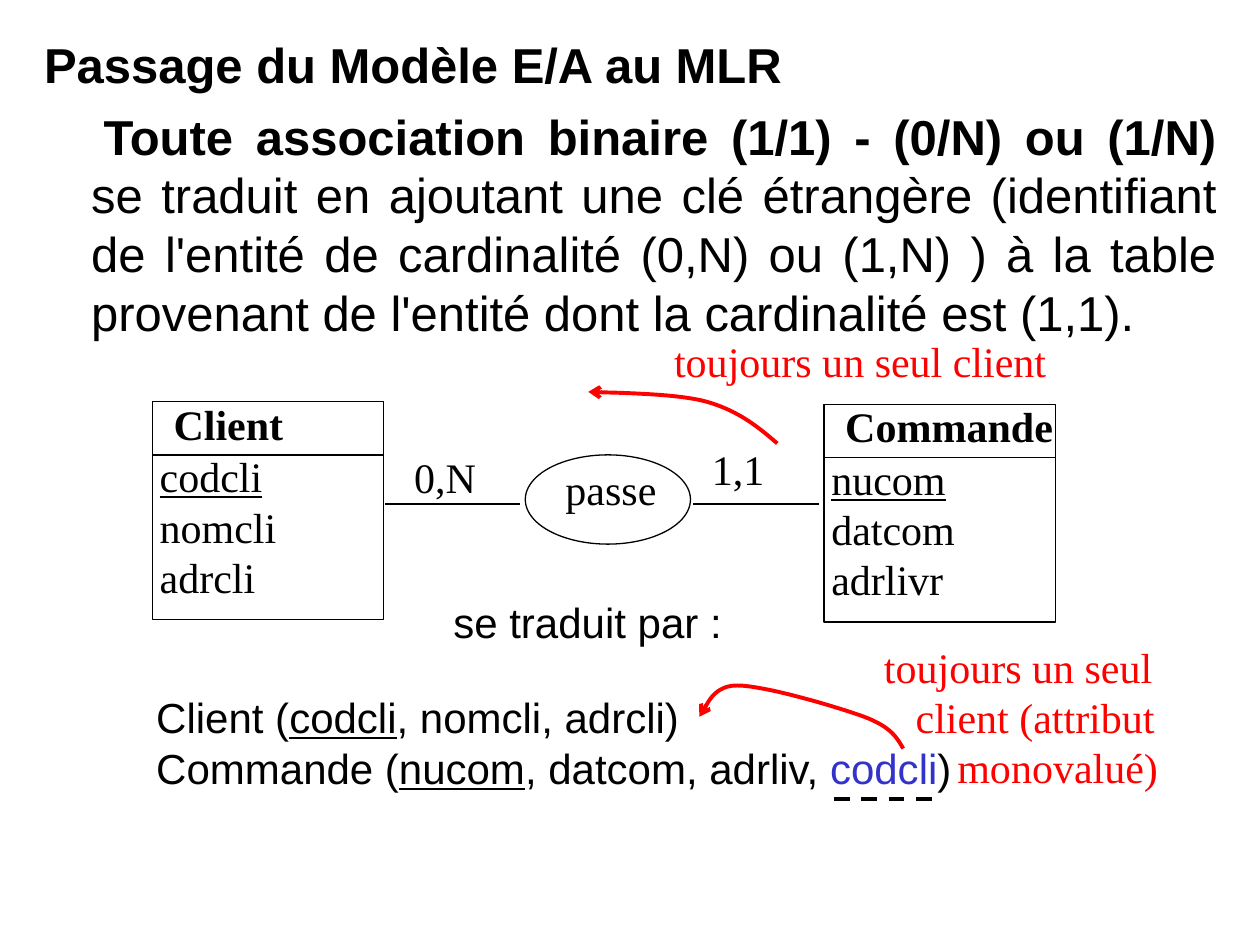
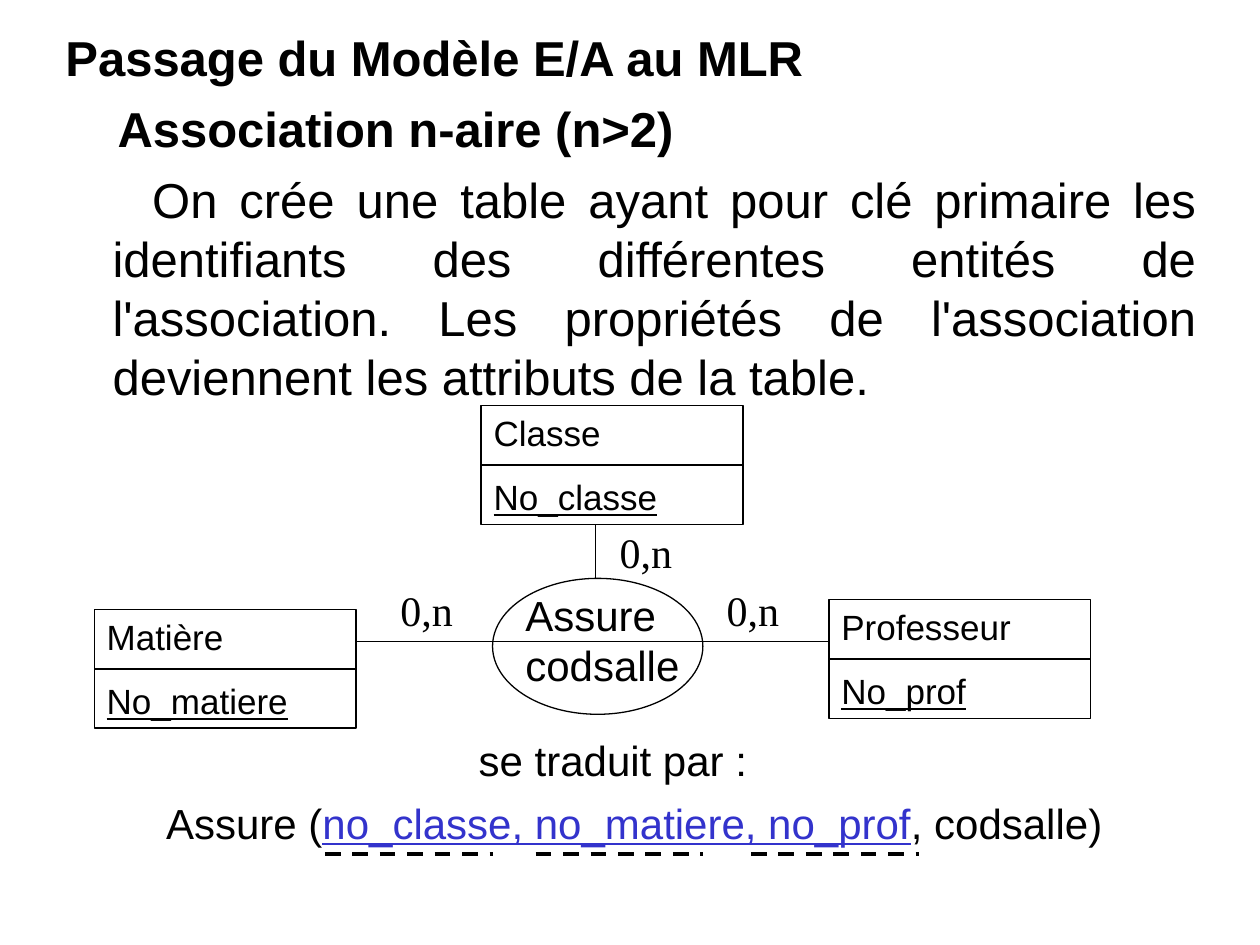
from dataclasses import dataclass

from lxml import etree
from pptx import Presentation
from pptx.dml.color import RGBColor
from pptx.enum.dml import MSO_LINE
from pptx.enum.shapes import MSO_CONNECTOR, MSO_SHAPE
from pptx.enum.text import MSO_ANCHOR, MSO_AUTO_SIZE, PP_ALIGN
from pptx.oxml.ns import qn
from pptx.shapes.autoshape import Shape
from pptx.shapes.connector import Connector
from pptx.slide import Slide
from pptx.text.text import TextFrame
from pptx.util import Cm, Pt

BLACK = RGBColor(0x00, 0x00, 0x00)
WHITE = RGBColor(0xFF, 0xFF, 0xFF)
RED = RGBColor(0xFF, 0x00, 0x00)
KEY_BLUE = RGBColor(0x33, 0x33, 0xCC)
SANS, SERIF = "Arial", "Times New Roman"
STRAIGHT = MSO_CONNECTOR.STRAIGHT
RECTANGLE, OVAL = MSO_SHAPE.RECTANGLE, MSO_SHAPE.OVAL
DASH = MSO_LINE.DASH
TOP = MSO_ANCHOR.TOP
LEFT, JUSTIFY = PP_ALIGN.LEFT, PP_ALIGN.JUSTIFY
FIT_SHAPE = MSO_AUTO_SIZE.SHAPE_TO_FIT_TEXT
HEADING = "Passage du Modèle E/A au MLR"
THIN, THICK = 0.75, 2.25
LEFT_SIDE, RIGHT_SIDE = 1, 3
BODY_MARGIN = 0.95
LABEL_SLACK = 0.2
CURVE_STEPS = 16

Point = tuple[float, float]
Box = tuple[float, float, float, float]


@dataclass(frozen=True)
class Span:
    """A piece of text with its own emphasis."""
    text: str
    underline: bool = False
    bold: bool = False
    color: RGBColor | None = None


@dataclass(frozen=True)
class Line:
    """A paragraph, with its indents in centimetres."""
    spans: tuple[Span, ...]
    margin: float = 0
    first: float = 0
    align: PP_ALIGN = LEFT


@dataclass(frozen=True)
class TextStyle:
    """The look shared by the paragraphs of a text."""
    font: str = SERIF
    size: float = 24
    color: RGBColor = BLACK
    before: float = 0


@dataclass(frozen=True)
class Label:
    """A short text at a place on the slide."""
    box: Box
    lines: tuple[Line, ...]
    style: TextStyle = TextStyle()


@dataclass(frozen=True)
class Entity:
    """An entity with its attributes, the first being its key."""
    name: str
    attributes: tuple[str, ...]
    corner: Point
    name_width: float = 0
    attribute_width: float = 0


SCHEMA = TextStyle(font=SANS)
REMARK = TextStyle(color=RED)
BODY = TextStyle(font=SANS, size=28, before=7)
SMALL_ENTITY = TextStyle(font=SANS, size=20, before=12.5)


def plain(text: str, margin: float = 0) -> Line:
    """Make a paragraph of one plain span."""
    return Line((Span(text),), margin)


def key(text: str) -> Line:
    """Make a paragraph holding an underlined key."""
    return Line((Span(text, underline=True),))


def body_line(first: float, *spans: Span) -> Line:
    """Make a justified paragraph of the body."""
    return Line(spans, BODY_MARGIN, first, JUSTIFY)


def write(frame: TextFrame, lines: tuple[Line, ...], style: TextStyle) -> None:
    """Fill a text frame run by run."""
    frame.word_wrap = True
    frame.vertical_anchor = TOP
    for index, line in enumerate(lines):
        paragraph = frame.paragraphs[0] if index == 0 else frame.add_paragraph()
        paragraph.alignment = line.align
        paragraph.space_before = Pt(style.before)
        properties = paragraph._p.get_or_add_pPr()
        properties.set("marL", str(Cm(line.margin)))
        properties.set("indent", str(Cm(line.first)))
        for span in line.spans:
            if span.text == "\n":
                paragraph.add_line_break()
                continue
            run = paragraph.add_run()
            run.text = span.text
            run.font.name = style.font
            run.font.size = Pt(style.size)
            run.font.bold = span.bold
            run.font.underline = span.underline
            run.font.color.rgb = span.color or style.color


def add_body(slide: Slide, box: Box, *lines: Line) -> None:
    """Add the slide heading and the rule below it."""
    heading = Line((Span(HEADING, bold=True),), BODY_MARGIN, -BODY_MARGIN)
    frame = slide.shapes.add_textbox(*map(Cm, box)).text_frame
    write(frame, (heading, *lines), BODY)


def add_label(slide: Slide, label: Label) -> None:
    """Add a text box with room to keep each line whole."""
    x, y, width, height = label.box
    box = slide.shapes.add_textbox(*map(Cm, (x, y, width + LABEL_SLACK, height)))
    write(box.text_frame, label.lines, label.style)


def add_outline(slide: Slide, kind: MSO_SHAPE, box: Box) -> Shape:
    """Add a white shape with a thin black outline."""
    shape = slide.shapes.add_shape(kind, *map(Cm, box))
    shape.shadow.inherit = False
    shape.fill.solid()
    shape.fill.fore_color.rgb = WHITE
    shape.line.color.rgb = BLACK
    shape.line.width = Pt(THIN)
    return shape


def add_link(slide: Slide, start: Point, end: Point, dashed: bool = False) -> Connector:
    """Add a thin straight line, or a thick dashed one."""
    link = slide.shapes.add_connector(STRAIGHT, *map(Cm, (*start, *end)))
    link.line.color.rgb = BLACK
    link.line.width = Pt(THICK if dashed else THIN)
    if dashed:
        link.line.dash_style = DASH
    etree.SubElement(link._element.spPr, qn("a:effectLst"))
    return link


def bezier(points: tuple[Point, ...], t: float) -> Point:
    """Return the point of a cubic curve at parameter t."""
    weights = ((1 - t) ** 3, 3 * t * (1 - t) ** 2, 3 * t**2 * (1 - t), t**3)
    return (sum(w * x for w, (x, _) in zip(weights, points)),
            sum(w * y for w, (_, y) in zip(weights, points)))


def add_curved_arrow(slide: Slide, points: tuple[Point, ...]) -> None:
    """Add a red arrow along joined cubic curves."""
    curve = [bezier(points[i:i + 4], step / CURVE_STEPS)
             for i in range(0, len(points) - 1, 3)
             for step in range(1, CURVE_STEPS + 1)]
    builder = slide.shapes.build_freeform(*map(Cm, points[0]))
    builder.add_line_segments([(Cm(x), Cm(y)) for x, y in curve], close=False)
    arrow = builder.convert_to_shape()
    arrow.shadow.inherit = False
    arrow.fill.background()
    arrow.line.color.rgb = RED
    arrow.line.width = Pt(THICK)
    etree.SubElement(arrow.line._get_or_add_ln(), qn("a:tailEnd"), type="arrow")


def add_large_entity(slide: Slide, entity: Entity) -> None:
    """Add an entity whose name stands in a band over its attributes."""
    x, y = entity.corner
    width, band = 4.67, 1.07
    add_outline(slide, RECTANGLE, (x, y, width, 4.39))
    add_link(slide, (x, y + band), (x + width, y + band))
    name = Line((Span(entity.name, bold=True),))
    add_label(slide, Label((x + 0.18, y - 0.2, entity.name_width, 1.27), (name,)))
    first, *others = entity.attributes
    add_label(slide, Label((x - 0.1, y + 0.86, entity.attribute_width, 3.3),
                           (key(first), *map(plain, others))))


def add_small_entity(slide: Slide, entity: Entity) -> None:
    """Add an entity split in halves for its name and its key."""
    x, y = entity.corner
    width, height = 5.28, 2.39
    card = add_outline(slide, RECTANGLE, (x, y, width, height))
    card.text_frame.auto_size = FIT_SHAPE
    write(card.text_frame, (plain(entity.name), *map(key, entity.attributes)), SMALL_ENTITY)
    middle = y + height / 2
    divider = add_link(slide, (x, middle), (x + width, middle))
    divider.begin_connect(card, LEFT_SIDE)
    divider.end_connect(card, RIGHT_SIDE)


def build_binary_slide(slide: Slide) -> None:
    """Show how a binary association becomes a foreign key."""
    add_body(slide, (0.64, 0.58, 24.13, 17.2), body_line(
        0.25,
        Span("Toute association binaire (1/1) - (0/N) ou (1/N)", bold=True),
        Span("\n"),
        Span("se traduit en ajoutant une clé étrangère (identifiant de l'entité de "
             "cardinalité (0,N) ou (1,N) ) à la table provenant de l'entité dont la "
             "cardinalité est (1,1).")))
    add_outline(slide, OVAL, (10.59, 9.17, 3.33, 1.8))
    for entity in (
        Entity("Client", ("codcli", "nomcli", "adrcli"), (3.07, 8.1), 2.72, 2.84),
        Entity("Commande", ("nucom", "datcom", "adrlivr"), (16.61, 8.15), 4.7, 3.0),
    ):
        add_large_entity(slide, entity)
    for start, end in ((7.77, 10.49), (13.97, 16.51)):
        add_link(slide, (start, 10.16), (end, 10.16))
    client_table = Line((Span("Client ("), Span("codcli", underline=True),
                         Span(", nomcli, adrcli)")))
    order_table = Line((Span("Commande ("), Span("nucom", underline=True),
                        Span(", datcom, adrliv, "), Span("codcli", color=KEY_BLUE),
                        Span(")")))
    for label in (
        Label((2.9, 13.82, 16.59, 2.29), (client_table, order_table), SCHEMA),
        Label((11.15, 9.22, 2.34, 1.27), (plain("passe"),)),
        Label((8.1, 8.97, 1.75, 1.27), (plain("0,N"),)),
        Label((14.1, 8.81, 1.55, 1.27), (plain("1,1"),)),
        Label((8.89, 11.91, 5.92, 1.27), (plain("se traduit par :"),), SCHEMA),
        Label((13.34, 6.63, 8, 1.27), (plain("toujours un seul client"),), REMARK),
        Label((17.15, 12.8, 6.55, 3.3),
              (plain("toujours un seul", 0.42), plain("client (attribut", 1.06),
               plain("monovalué)", 1.9)), REMARK),
    ):
        add_label(slide, label)
    add_link(slide, (16.81, 16.1), (18.85, 16.1), dashed=True)
    add_curved_arrow(slide, ((15.67, 8.94), (15.29, 8.61), (14.88, 8.28), (14.25, 8.1),
                             (13.61, 7.92), (12.24, 7.92), (11.86, 7.9)))
    add_curved_arrow(slide, ((18.21, 15.09), (18.08, 14.88), (17.98, 14.66),
                             (17.42, 14.45), (16.87, 14.25), (15.42, 13.82),
                             (14.86, 13.82), (14.3, 13.82), (14.22, 14.35),
                             (14.1, 14.45)))


def build_nary_slide(slide: Slide) -> None:
    """Show how an n-ary association becomes a table."""
    add_body(
        slide, (1.07, 0.43, 23.29, 18.01),
        body_line(0.1, Span("Association n-aire (n>2)", bold=True)),
        body_line(0.8, Span(
            "On crée une table ayant pour clé primaire les identifiants des différentes "
            "entités de l'association. Les propriétés de l'association deviennent les "
            "attributs de la table.")))
    add_outline(slide, OVAL, (9.93, 11.66, 4.24, 2.74))
    add_link(slide, (7.19, 12.93), (16.71, 12.93))
    add_link(slide, (12.01, 10.59), (12.01, 11.66))
    for entity in (
        Entity("Professeur", ("No_prof",), (16.71, 12.09)),
        Entity("Matière", ("No_matiere",), (1.9, 12.29)),
        Entity("Classe", ("No_classe",), (9.7, 8.18)),
    ):
        add_small_entity(slide, entity)
    for x, y in ((7.82, 11.66), (14.4, 11.66), (12.24, 10.49)):
        add_label(slide, Label((x, y, 1.55, 1.27), (plain("0,n"),)))
    table = Line((Span("Assure ("),
                  Span("no_classe, no_matiere, no_prof", underline=True, color=KEY_BLUE),
                  Span(", codsalle)")))
    for label in (
        Label((10.34, 11.76, 3.61, 2.29), (plain("Assure"), plain("codsalle")), SCHEMA),
        Label((3.1, 15.95, 19.38, 1.27), (table,), SCHEMA),
        Label((9.4, 14.68, 5.92, 1.27), (plain("se traduit par :"),), SCHEMA),
    ):
        add_label(slide, label)
    for x in (6.55, 10.8, 15.14):
        add_link(slide, (x, 17.22), (x + 3.38, 17.22), dashed=True)


def main() -> None:
    """Build and save the presentation."""
    deck = Presentation()
    deck.slide_width, deck.slide_height = Cm(25.4), Cm(19.05)
    blank = deck.slide_layouts[6]
    for build in (build_binary_slide, build_nary_slide):
        build(deck.slides.add_slide(blank))
    deck.save("out.pptx")


if __name__ == "__main__":
    main()
